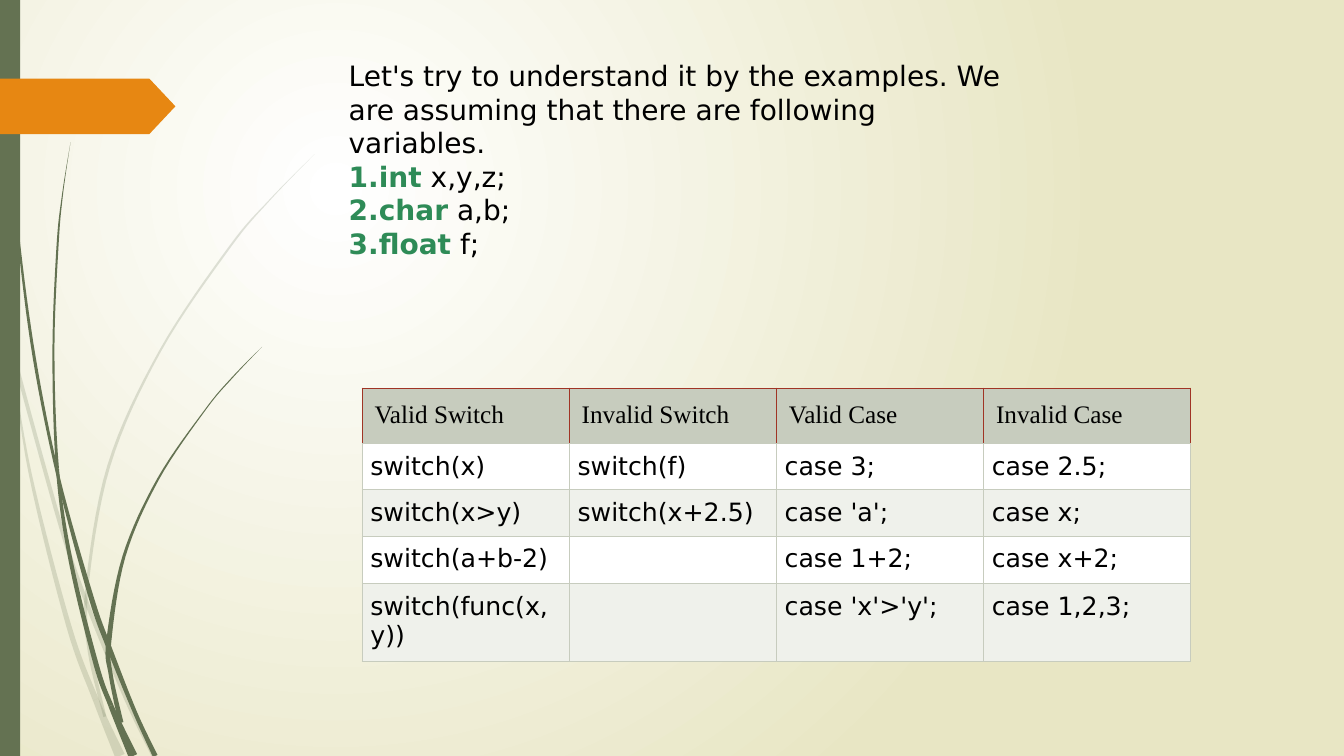
import math
from dataclasses import dataclass
import lxml.etree
import pptx
import pptx.dml.color
import pptx.enum.shapes
import pptx.oxml.ns
import pptx.util

Inches = pptx.util.Inches
qn = pptx.oxml.ns.qn

@dataclass(frozen=True)
class Theme:
    green: str = "647252"
    orange: str = "E78712"
    keyword: str = "2E8B57"
    ink: str = "000000"
    white: str = "FFFFFF"
    sand: str = "E8E6C4"
    header: str = "C7CCBE"
    band: str = "EFF1EB"
    red: str = "A03425"
    body_font: str = "DejaVu Sans"
    header_font: str = "Times New Roman"
    intro_size: int = 20
    table_size: int = 18
    border: float = 0.75

THEME = Theme()
CURVE_STEPS = 8
PALE_STEMS = [
    ([1, 3], [(0, 2.9, 0.08), (0.13, 3.5, 0.04), (0.6, 5.21, 0.04),
              (0.86, 5.98, 0.04), (1.25, 6.93, 0.04), (1.53, 7.5, 0.05)]),
    ([3], [(0.11, 3.5, 0), (0.3, 4.7, 0.03), (0.68, 6.2, 0.05),
           (0.95, 6.94, 0.06), (1.19, 7.5, 0.1)]),
    ([5], [(3.12, 1.53, 0), (2.68, 1.98, 0.01), (2.28, 2.45, 0.02), (1.59, 3.48, 0.02),
           (1.08, 4.62, 0.03), (0.86, 5.86, 0.03), (0.89, 6.46, 0.04), (1.04, 7.11, 0.03)]),
]
DARK_STEMS = [
    ([4, 6], [(0.04, 0, 0.01), (0.07, 1.1, 0.01), (0.18, 2.33, 0.02), (0.34, 3.55, 0.03),
              (0.58, 4.74, 0.03), (0.9, 5.91, 0.05), (1.08, 6.42, 0.05),
              (1.34, 7.07, 0.04), (1.54, 7.5, 0.05)]),
    ([4, 7], [(0.7, 1.41, 0), (0.62, 1.93, 0.01), (0.57, 2.45, 0.02), (0.53, 3.49, 0.02),
              (0.57, 4.65, 0.03), (0.7, 5.56, 0.04), (0.95, 6.58, 0.05),
              (1.1, 7, 0.05), (1.32, 7.5, 0.09)]),
    ([5], [(2.6, 3.44, 0), (2.31, 3.74, 0.01), (2.04, 4.06, 0.01), (1.57, 4.75, 0.02),
           (1.23, 5.52, 0.03), (1.08, 6.36, 0.05), (1.1, 6.7, 0.04), (1.2, 7.17, 0.05)]),
]
INTRO = ("Let's try to understand it by the examples. "
         "We are assuming that there are following variables.")
VARIABLES = [("int", " x,y,z;"), ("char", " a,b;"), ("float", " f;")]
ROWS = [
    ["Valid Switch", "Invalid Switch", "Valid Case", "Invalid Case"],
    ["switch(x)", "switch(f)", "case 3;", "case 2.5;"],
    ["switch(x>y)", "switch(x+2.5)", "case 'a';", "case x;"],
    ["switch(a+b-2)", "", "case 1+2;", "case x+2;"],
    ["switch(func(x,y))", "", "case 'x'>'y';", "case 1,2,3;"],
]
TABLE_WIDTH = 8.22
ROW_HEIGHTS = [0.55, 0.46, 0.46, 0.46, 0.77]

def rgb(color):
    return pptx.dml.color.RGBColor.from_string(color)

def paint(sp, color, opacity=100):
    sp.shadow.inherit = False
    sp.fill.solid()
    sp.fill.fore_color.rgb = rgb(color)
    sp.line.fill.background()
    if opacity < 100:
        clr = sp.fill._xPr.find(".//" + qn("a:srgbClr"))
        lxml.etree.SubElement(clr, qn("a:alpha"), val=str(opacity * 1000))

def format_run(r, size, color, font=THEME.body_font, bold=False):
    r.font.size = pptx.util.Pt(size)
    r.font.name = font
    r.font.bold = bold
    r.font.color.rgb = rgb(color)

def set_background(s):
    fill = s.background.fill
    fill.gradient()
    for stop, color, position in zip(fill.gradient_stops, (THEME.white, THEME.sand), (0, 1)):
        stop.color.rgb = rgb(color)
        stop.position = position
    grad = s._element.find(".//" + qn("a:gradFill"))
    grad.remove(grad.find(qn("a:lin")))
    circle = lxml.etree.SubElement(grad, qn("a:path"), path="circle")
    lxml.etree.SubElement(circle, qn("a:fillToRect"),
                          l="50000", t="50000", r="100000", b="100000")

def smooth_curve(points):
    padded = [points[0], *points, points[-1]]
    curve = []
    for a, b, c, d in zip(padded, padded[1:], padded[2:], padded[3:]):
        for i in range(CURVE_STEPS):
            t = i / CURVE_STEPS
            curve.append([
                q + t * (r - p) / 2 + t**2 * (2 * p - 5 * q + 4 * r - u) / 2
                + t**3 * (3 * q - p - 3 * r + u) / 2
                for p, q, r, u in zip(a, b, c, d)])
    return curve + [points[-1]]

def add_stem(s, joints, points, opacity=100):
    curve = smooth_curve(points)
    left, right = [], []
    for i, (x, y, width) in enumerate(curve):
        before, after = curve[max(i - 1, 0)], curve[min(i + 1, len(curve) - 1)]
        dx, dy = after[0] - before[0], after[1] - before[1]
        scale = width / 2 / math.hypot(dx, dy)
        left.append((Inches(x - dy * scale), Inches(y + dx * scale)))
        right.append((Inches(x + dy * scale), Inches(y - dx * scale)))
    cuts = [0, *joints, len(points) - 1]
    for start, end in zip(cuts, cuts[1:]):
        piece = slice(start * CURVE_STEPS, end * CURVE_STEPS + 1)
        outline = left[piece] + right[piece][::-1]
        builder = s.shapes.build_freeform(*outline[0])
        builder.add_line_segments(outline[1:], close=True)
        paint(builder.convert_to_shape(), THEME.green, opacity)

def add_block(s, kind, x, y, w, h, color):
    sp = s.shapes.add_shape(kind, Inches(x), Inches(y), Inches(w), Inches(h))
    paint(sp, color)
    return sp

def add_intro(s):
    tf = s.shapes.add_textbox(Inches(3.36), Inches(0.53), Inches(6.67), Inches(2.12)).text_frame
    tf.word_wrap = True
    p = tf.paragraphs[0]
    p.text = INTRO
    format_run(p.runs[0], THEME.intro_size, THEME.ink)
    for keyword, names in VARIABLES:
        p = tf.add_paragraph()
        lxml.etree.SubElement(p._p.get_or_add_pPr(), qn("a:buAutoNum"), type="arabicPeriod")
        for text, color, bold in ((keyword, THEME.keyword, True), (names, THEME.ink, False)):
            r = p.add_run()
            r.text = text
            format_run(r, THEME.intro_size, color, bold=bold)

def set_borders(cell, colors):
    tcPr = cell._tc.get_or_add_tcPr()
    for i, (side, color) in enumerate(zip("LRTB", colors)):
        ln = lxml.etree.Element(qn("a:ln" + side), w=str(pptx.util.Pt(THEME.border)))
        solid = lxml.etree.SubElement(ln, qn("a:solidFill"))
        lxml.etree.SubElement(solid, qn("a:srgbClr"), val=color)
        tcPr.insert(i, ln)

def format_cell(cell, text, row):
    is_header = row == 0
    cell.text = text
    inset = Inches(1 / 8 if is_header else 1 / 12)
    cell.margin_left = cell.margin_right = cell.margin_top = cell.margin_bottom = inset
    cell.fill.solid()
    cell.fill.fore_color.rgb = rgb(
        THEME.header if is_header else THEME.white if row % 2 else THEME.band)
    edge = THEME.red if is_header else THEME.header
    set_borders(cell, [edge, edge, edge, THEME.header])
    for r in cell.text_frame.paragraphs[0].runs:
        format_run(r, THEME.table_size, THEME.ink,
                   THEME.header_font if is_header else THEME.body_font)

def add_switch_table(s):
    table = s.shapes.add_table(len(ROWS), len(ROWS[0]), Inches(3.59), Inches(3.85),
                               Inches(TABLE_WIDTH), Inches(sum(ROW_HEIGHTS))).table
    table.first_row = table.horz_banding = False
    for i, (texts, height) in enumerate(zip(ROWS, ROW_HEIGHTS)):
        table.rows[i].height = Inches(height)
        for j, text in enumerate(texts):
            format_cell(table.cell(i, j), text, i)

def main():
    prs = pptx.Presentation()
    prs.slide_width, prs.slide_height = Inches(13.33), Inches(7.5)
    s = prs.slides.add_slide(prs.slide_layouts[6])
    set_background(s)
    for stems, opacity in ((PALE_STEMS, 20), (DARK_STEMS, 100)):
        for joints, points in stems:
            add_stem(s, joints, points, opacity)
    kinds = pptx.enum.shapes.MSO_SHAPE
    add_block(s, kinds.RECTANGLE, 0, 0, 0.2, 7.5, THEME.green)
    tag = add_block(s, kinds.PENTAGON, 0, 0.78, 1.74, 0.55, THEME.orange)
    tag.adjustments[0] = 0.47
    add_switch_table(s)
    add_intro(s)
    prs.save("out.pptx")

if __name__ == "__main__":
    main()
